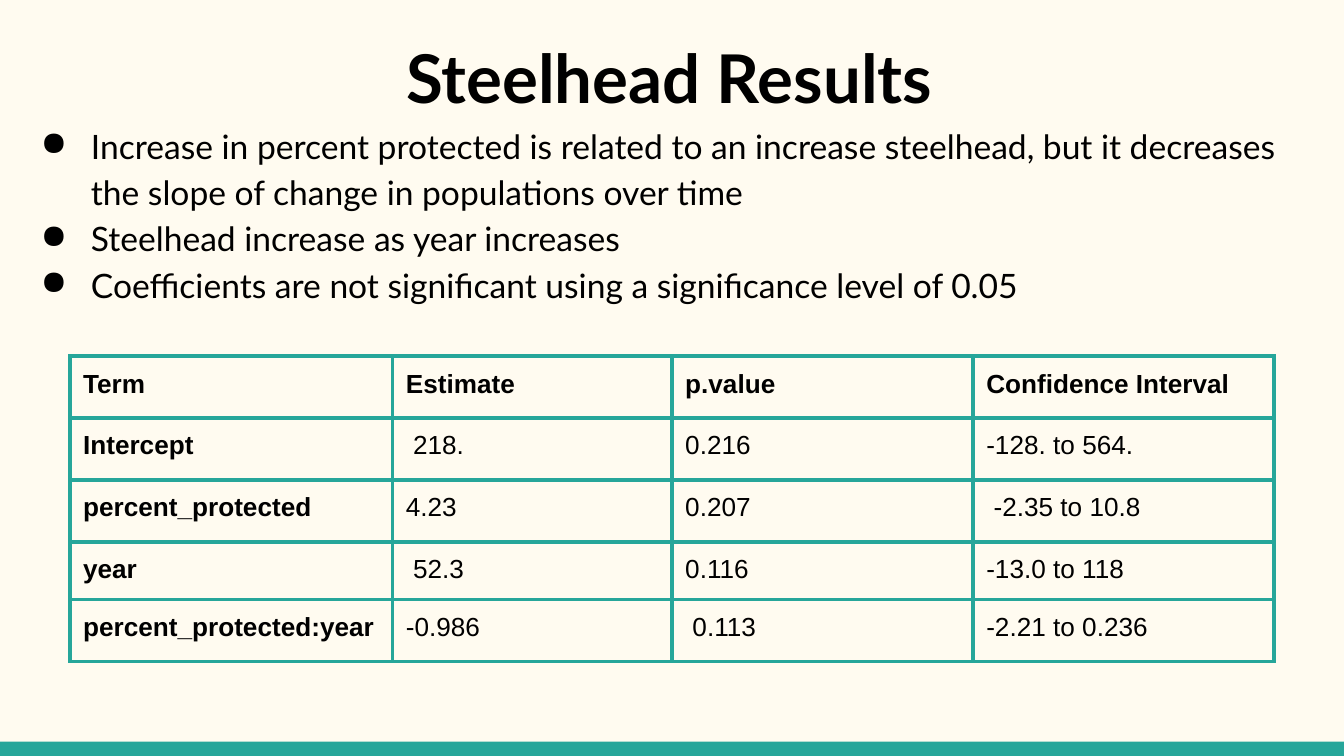
from lxml.etree import SubElement as Sub
from pptx import Presentation
from pptx.dml.color import RGBColor as RGB
from pptx.enum.shapes import MSO_SHAPE as Shape
from pptx.enum.text import PP_ALIGN as Align
from pptx.oxml.ns import qn
from pptx.util import Cm, Pt

TITLE = "Steelhead Results "
POINTS = [
    "Increase in percent protected is related to an increase steelhead, "
    "but it decreases the slope of change in populations over time",
    "Steelhead increase as year increases",
    "Coefficients are not significant using a significance level of 0.05",
]
ROWS = [
    ("Term", "Estimate", "p.value", "Confidence Interval"),
    ("Intercept", " 218.", "0.216", "-128. to 564."),
    ("percent_protected", "4.23", "0.207", " -2.35 to 10.8"),
    ("year", " 52.3", "0.116", "-13.0 to 118"),
    ("percent_protected:year", "-0.986", " 0.113", "-2.21 to 0.236"),
]
WIDTHS = [6.1, 5.28, 5.69, 5.69]
HEIGHTS = [1.17, 1.17, 1.17, 0.97, 1.17]
HUES = {"paper": "FFFBF0", "teal": "26A69A", "ink": "000000"}
WIDE, HIGH, BAR, PAD = 25.4, 14.29, 0.27, 0.25


def hue(name):
    return RGB.from_string(HUES[name])


def style(para, size, face, bold=False):
    for run in para.runs:
        font = run.font
        font.size, font.name, font.bold = Pt(size), face, bold
        font.color.rgb = hue("ink")


def pad(box):
    """Set equal insets on a text frame or a table cell."""
    box.margin_left = box.margin_right = Cm(PAD)
    box.margin_top = box.margin_bottom = Cm(PAD)


def add_text(slide, *place):
    frame = slide.shapes.add_textbox(*map(Cm, place)).text_frame
    frame.word_wrap = True
    pad(frame)
    return frame


def bullet(para):
    props = para._p.get_or_add_pPr()
    props.set("marL", str(Cm(1.27)))
    props.set("indent", str(Cm(-0.95)))
    tint = Sub(props, qn("a:buClr"))
    Sub(tint, qn("a:srgbClr"), val=HUES["ink"])
    Sub(props, qn("a:buChar"), char="●")


def border(cell):
    props = cell._tc.get_or_add_tcPr()
    for side in ("lnL", "lnR", "lnT", "lnB"):
        line = Sub(props, qn(f"a:{side}"), w=str(Pt(2.25)))
        fill = Sub(line, qn("a:solidFill"))
        Sub(fill, qn("a:srgbClr"), val=HUES["teal"])


def add_grid(slide, left, top):
    grid = slide.shapes.add_table(
        len(ROWS), len(WIDTHS), Cm(left), Cm(top),
        Cm(sum(WIDTHS)), Cm(sum(HEIGHTS))).table
    for col, width in zip(grid.columns, WIDTHS):
        col.width = Cm(width)
    for row, height in zip(grid.rows, HEIGHTS):
        row.height = Cm(height)
    for r, row in enumerate(ROWS):
        for c, text in enumerate(row):
            cell = grid.cell(r, c)
            cell.text_frame.text = text
            pad(cell)
            border(cell)
            cell.fill.background()
            style(cell.text_frame.paragraphs[0], 14, "Arial", r == 0 or c == 0)


def main():
    deck = Presentation()
    deck.slide_width, deck.slide_height = Cm(WIDE), Cm(HIGH)
    slide = deck.slides.add_slide(deck.slide_layouts[6])
    back = slide.background.fill
    back.solid()
    back.fore_color.rgb = hue("paper")

    bar = slide.shapes.add_shape(
        Shape.RECTANGLE, 0, Cm(HIGH - BAR), Cm(WIDE), Cm(BAR))
    bar.shadow.inherit = False
    bar.fill.solid()
    bar.fill.fore_color.rgb = hue("teal")
    bar.line.fill.background()

    title = add_text(slide, 0.97, 0.43, 23.67, 1.7)
    title.text = TITLE
    title.paragraphs[0].alignment = Align.CENTER
    style(title.paragraphs[0], 36, "Lato", True)

    body = add_text(slide, 0.2, 2.01, 25.2, 8.66)
    body.text = "\n".join(POINTS)
    for para in body.paragraphs:
        bullet(para)
        para.line_spacing = 1.15
        style(para, 18, "Lato")

    add_grid(slide, 1.32, 6.73)
    deck.save("out.pptx")


if __name__ == "__main__":
    main()
